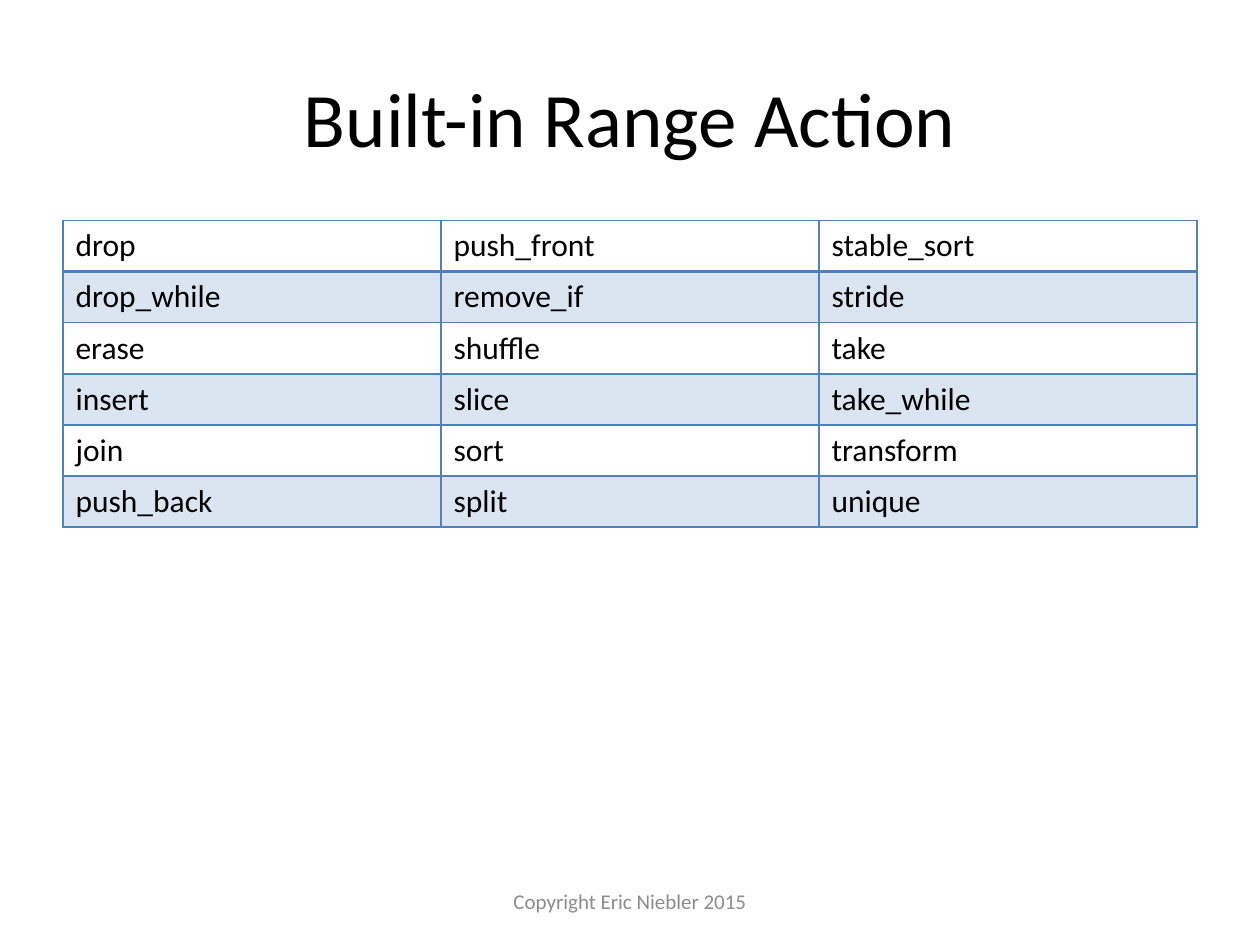
from dataclasses import dataclass

from lxml import etree
from pptx import Presentation
from pptx import util as u
from pptx.dml.color import RGBColor
from pptx.enum import text
from pptx.oxml.ns import qn


@dataclass(frozen=True)
class Theme:
    font: str = "Calibri"
    ink: str = "000000"
    muted: str = "8C8C8C"
    accent: str = "4F81BD"
    band_opacity: int = 20  # percent
    title_size: int = 44
    table_size: int = 18
    footer_size: int = 12
    rule: int = 1
    header_rule: int = 2


@dataclass(frozen=True)
class Label:
    words: str
    left: float
    top: float
    width: float
    height: float
    size: int
    color: str


THEME = Theme()

LABELS = [
    Label("Built-in Range Action", 36, 21.6, 648, 90, THEME.title_size, THEME.ink),
    Label("Copyright Eric Niebler 2015", 246, 500.4, 228, 28.8,
          THEME.footer_size, THEME.muted),
]

# Actions run down each column in turn
ACTION_COLUMNS = [
    ["drop", "drop_while", "erase", "insert", "join", "push_back"],
    ["push_front", "remove_if", "shuffle", "slice", "sort", "split"],
    ["stable_sort", "stride", "take", "take_while", "transform", "unique"],
]
TABLE_LEFT, TABLE_TOP = 36, 126
COLUMN_WIDTH, ROW_HEIGHT = 216, 29.2


def style_paragraph(paragraph, size: int, color: str) -> None:
    font = paragraph.font
    font.name = THEME.font
    font.size = u.Pt(size)
    font.color.rgb = RGBColor.from_string(color)


def add_label(slide, label: Label) -> None:
    box = slide.shapes.add_textbox(u.Pt(label.left), u.Pt(label.top),
                                   u.Pt(label.width), u.Pt(label.height))
    frame = box.text_frame
    frame.word_wrap = True
    frame.vertical_anchor = text.MSO_ANCHOR.MIDDLE
    paragraph = frame.paragraphs[0]
    paragraph.text = label.words
    paragraph.alignment = text.PP_ALIGN.CENTER
    style_paragraph(paragraph, label.size, label.color)


def fill_cell(cell, banded: bool) -> None:
    if not banded:
        cell.fill.background()
        return
    cell.fill.solid()
    cell.fill.fore_color.rgb = RGBColor.from_string(THEME.accent)
    color = cell._tc.tcPr.find(qn("a:solidFill")).find(qn("a:srgbClr"))
    etree.SubElement(color, qn("a:alpha"), val=str(THEME.band_opacity * 1000))


def add_borders(cell, top: int, bottom: int) -> None:
    properties = cell._tc.get_or_add_tcPr()
    widths = {"lnL": THEME.rule, "lnR": THEME.rule, "lnT": top, "lnB": bottom}
    # Borders must come before the fill
    for position, (side, width) in enumerate(widths.items()):
        line = etree.Element(qn(f"a:{side}"), w=str(u.Pt(width)))
        fill = etree.SubElement(line, qn("a:solidFill"))
        etree.SubElement(fill, qn("a:srgbClr"), val=THEME.accent)
        properties.insert(position, line)


def add_action_table(slide, columns: list[list[str]]) -> None:
    row_count, column_count = len(columns[0]), len(columns)
    table = slide.shapes.add_table(
        row_count, column_count, u.Pt(TABLE_LEFT), u.Pt(TABLE_TOP),
        u.Pt(COLUMN_WIDTH * column_count), u.Pt(ROW_HEIGHT * row_count)).table
    for column_index, actions in enumerate(columns):
        for row_index, action in enumerate(actions):
            cell = table.cell(row_index, column_index)
            cell.text = action
            style_paragraph(cell.text_frame.paragraphs[0],
                            THEME.table_size, THEME.ink)
            fill_cell(cell, banded=row_index % 2 == 1)
            add_borders(
                cell,
                top=THEME.header_rule if row_index == 1 else THEME.rule,
                bottom=THEME.header_rule if row_index == 0 else THEME.rule)


def main() -> None:
    presentation = Presentation()
    presentation.slide_width, presentation.slide_height = u.Pt(720), u.Pt(540)
    slide = presentation.slides.add_slide(presentation.slide_layouts[6])

    # Title and footer
    for label in LABELS:
        add_label(slide, label)

    # Table of actions
    add_action_table(slide, ACTION_COLUMNS)

    presentation.save("out.pptx")


if __name__ == "__main__":
    main()
